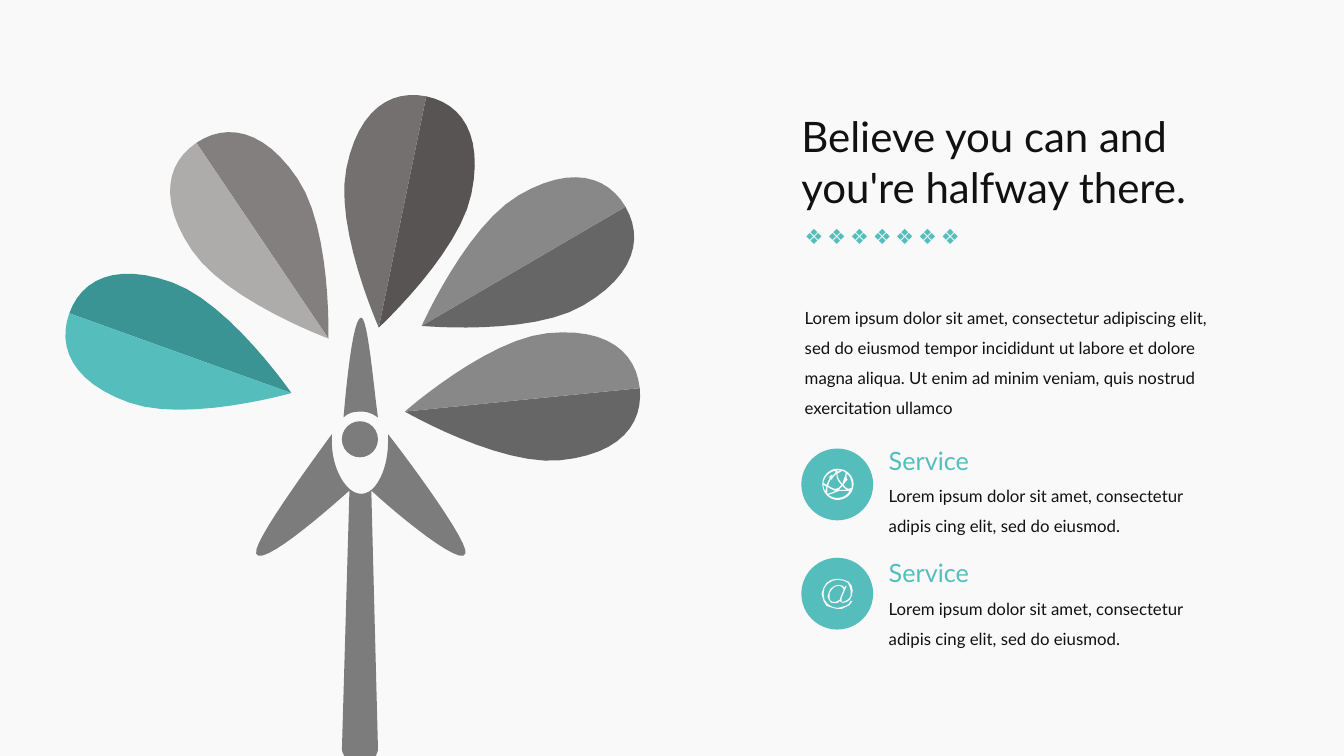
from dataclasses import dataclass
from math import cos, radians, sin
from typing import NamedTuple

from pptx import Presentation
from pptx.dml.color import RGBColor
from pptx.enum.shapes import MSO_SHAPE
from pptx.enum.text import MSO_ANCHOR, PP_ALIGN
from pptx.shapes.autoshape import Shape
from pptx.slide import Slide
from pptx.util import Inches, Pt

Point = tuple[float, float]

SLIDE_WIDTH, SLIDE_HEIGHT = Inches(13.333), Inches(7.5)
ROWS = 90  # square cells, 160 across
CURVE_STEPS = 12
ICON_SCALE = 0.12  # cells per icon unit


@dataclass(frozen=True)
class Theme:
    background: str = "F9F9F9"
    ink: str = "111111"
    accent: str = "56BDBD"
    accent_dark: str = "3A9494"
    turbine: str = "7C7C7C"
    font: str = "Lato"
    ornament_font: str = "Calibri"
    title_size: int = 30
    heading_size: int = 18
    ornament_size: int = 15
    body_size: int = 12


THEME = Theme()


class Box(NamedTuple):
    left: float
    top: float
    width: float
    height: float


class Petal(NamedTuple):
    tip: Point
    angle: float
    clockwise_color: str
    other_color: str


class Service(NamedTuple):
    circle_top: float
    heading_top: float
    icon_origin: Point
    icon: tuple[str, ...]


PETALS = (
    Petal((34.7, 46.8), 199.75, THEME.accent_dark, THEME.accent),
    Petal((39.1, 40.3), 236, "847F7F", "AEABAB"),
    Petal((45.1, 39), 281.6, "585454", "757070"),
    Petal((50.2, 38.8), 329.7, "666666", "888888"),
    Petal((48.2, 49), 354.3, "666666", "888888"),
)

# Outlines: a start point, then one point for a line or three for a curve.
PETAL_HALF = "0,0|28.1,0|28.1,4.2 25.1,7.6 17.8,7.6|10.6,7.6 0,0 0,0"
TOP_BLADE = ("45,49.7|44.5,46.2 43.8,37.8 43,37.8|42,37.8 41.2,46.2 40.9,49.7|"
             "41.4,49.2 42,49 43,49|43.7,49 44.3,49.2 45,49.7")
TOWER = ("46.2,51.7|46.2,52.6|46.2,55.8 44.8,58.8 43,58.8|41.2,58.8 39.5,55.8 39.5,52.6|"
         "39.5,51.7|36.8,55.4 30,64.7 30.5,65.9|31,67.6 38.4,61.3 41.6,58.4|40.7,89.3|"
         "40.7,89.3 41.2,91.3 43,91.3|44.5,91.3 45,89.3 45,89.3|44.2,58.4|"
         "47.3,61.3 55,67.6 55.4,65.9|55.9,64.7 49.1,55.4 46.2,51.7")
GLOBE = (
    "26,20|24,19 22,18 21,16|23,13|25,11|24,9|24,5|27,7 29,11 29,15|29,19|26,20",
    "15,29|12,29 9,28 6,26|9,25 12,24 14,23|17,22|19,22|26,22|27,22|25,26 20,29 15,29",
    "5,25|5,22|5,18|8,20 10,21 13,22|11,23 8,24 5,25",
    "4,16|1,14|2,8 7,3 13,2|13,4|10,7|9,6|7,8|7,10|6,12 5,14 4,16",
    "3,23|2,21 1,18 1,16|4,18|3,22",
    "19,16|16,19|13,20|11,20 8,18 6,17|6,15 7,12 9,10|9,11|11,8|14,5|14,10 16,13 19,16",
    "15,1|17,2|15,3",
    "20,17|21,19 23,20 24,21|19,21|17,21|17,20|20,17",
    "23,4|23,6 23,7 22,8|21,11|20,15|17,12 15,9 15,5|20,2|23,4",
    "15,0|7,0 0,7 0,15|0,24 7,31 15,31|24,31 31,24 31,15|31,7 24,0 15,0",
)
AT_SIGN = (
    "18,21|16,22|14,23|11,23|9,22|8,20|8,18|8,14|10,11|13,8|17,7|18,7|20,8|21,9|22,11|19,18",
    "29,22|27,25|24,27|20,28|16,29|11,28|6,25|3,21|2,15|3,9|6,5|11,2|16,1|22,2|26,4|28,8|29,12|"
    "29,17|27,20|24,22|21,23|20,23|20,21|20,19|25,7|24,7|23,9|21,7|17,6|13,7|9,10|7,14|6,18|"
    "7,20|8,22|10,24|16,24|18,22|19,23|21,24|25,23|28,21|30,17|31,12|30,7|27,3|22,1|16,0|10,1|"
    "5,4|2,9|0,15|2,22|5,27|11,29|16,30|20,30|24,28|28,26|30,23|31,22",
)
SERVICES = (
    Service(53.4, 53, (97.9, 55.8), GLOBE),
    Service(66.4, 66.4, (97.8, 68.9), AT_SIGN),
)


def cells(count: float) -> int:
    return round(SLIDE_HEIGHT * count / ROWS)


def trace(outline: str) -> list[Point]:
    """Turn an outline into points, with each cubic curve cut into short lines."""
    steps = [[tuple(map(float, pair.split(","))) for pair in step.split()]
             for step in outline.split("|")]
    points = list(steps[0])
    for step in steps[1:]:
        if len(step) == 1:
            points.append(step[0])
            continue
        controls = [points[-1], *step]
        for index in range(1, CURVE_STEPS + 1):
            t = index / CURVE_STEPS
            weights = ((1 - t) ** 3, 3 * t * (1 - t) ** 2, 3 * t * t * (1 - t), t ** 3)
            points.append(tuple(sum(weight * point[axis] for weight, point in zip(weights, controls))
                                for axis in (0, 1)))
    return points


def paint(shape: Shape, color: str) -> None:
    shape.shadow.inherit = False
    shape.fill.solid()
    shape.fill.fore_color.rgb = RGBColor.from_string(color)
    shape.line.fill.background()


def draw_outline(slide: Slide, contours: list[list[Point]], color: str) -> None:
    placed = [[(cells(x), cells(y)) for x, y in contour] for contour in contours]
    builder = slide.shapes.build_freeform(*placed[0][0])
    for contour in placed:
        builder.move_to(*contour[0])
        builder.add_line_segments(contour[1:], close=True)
    paint(builder.convert_to_shape(), color)


def draw_circle(slide: Slide, box: Box, color: str) -> None:
    paint(slide.shapes.add_shape(MSO_SHAPE.OVAL, *map(cells, box)), color)


def draw_petal(slide: Slide, petal: Petal) -> None:
    along_x, along_y = cos(radians(petal.angle)), sin(radians(petal.angle))
    for side, color in ((1, petal.clockwise_color), (-1, petal.other_color)):
        contour = [(petal.tip[0] + x * along_x - side * y * along_y,
                    petal.tip[1] + x * along_y + side * y * along_x) for x, y in trace(PETAL_HALF)]
        draw_outline(slide, [contour], color)


def write(shape: Shape, box: Box, text: str, size: int, color: str, font: str = THEME.font,
          wrap: bool = True, spacing: float = 1.0) -> None:
    shape.left, shape.top, shape.width, shape.height = map(cells, box)
    frame = shape.text_frame
    frame.margin_left = frame.margin_top = frame.margin_right = frame.margin_bottom = 0
    frame.word_wrap = wrap
    frame.vertical_anchor = MSO_ANCHOR.TOP
    frame.text = text
    paragraph = frame.paragraphs[0]
    paragraph.alignment = PP_ALIGN.LEFT
    paragraph.line_spacing = spacing
    paragraph.font.name = font
    paragraph.font.size = Pt(size)
    paragraph.font.color.rgb = RGBColor.from_string(color)


def add_text(slide: Slide, box: Box, text: str, size: int, color: str, **options) -> None:
    write(slide.shapes.add_textbox(0, 0, 0, 0), box, text, size, color, **options)


def draw_service(slide: Slide, service: Service) -> None:
    draw_circle(slide, Box(95.4, service.circle_top, 8.55, 8.55), THEME.accent)
    left, top = service.icon_origin
    draw_outline(slide, [[(left + x * ICON_SCALE, top + y * ICON_SCALE) for x, y in trace(outline)]
                         for outline in service.icon], THEME.background)
    add_text(slide, Box(105.8, service.heading_top, 10.7, 3.6), "Service",
             THEME.heading_size, THEME.accent, wrap=False)
    add_text(slide, Box(105.8, service.heading_top + 3.65, 38.3, 7.3),
             "Lorem ipsum dolor sit amet, consectetur adipis cing elit, sed do eiusmod.",
             THEME.body_size, THEME.ink, spacing=1.5)


presentation = Presentation()
presentation.slide_width, presentation.slide_height = SLIDE_WIDTH, SLIDE_HEIGHT
slide = presentation.slides.add_slide(presentation.slide_layouts[5])
slide.background.fill.solid()
slide.background.fill.fore_color.rgb = RGBColor.from_string(THEME.background)
write(slide.shapes.title, Box(95.4, 13.2, 47.6, 12.1), "Believe you can and you're halfway there.",
      THEME.title_size, THEME.ink)
for petal in PETALS:
    draw_petal(slide, petal)
draw_circle(slide, Box(40.7, 50.15, 4.3, 4.3), THEME.turbine)
for outline in (TOP_BLADE, TOWER):
    draw_outline(slide, [trace(outline)], THEME.turbine)
for index in range(7):
    add_text(slide, Box(95.8 + 2.7 * index, 26.6, 2.3, 3), "❖", THEME.ornament_size,
             THEME.accent, font=THEME.ornament_font, wrap=False)
add_text(slide, Box(95.8, 35.4, 50.5, 14.5),
         "Lorem ipsum dolor sit amet, consectetur adipiscing elit, sed do eiusmod tempor incididunt ut "
         "labore et dolore magna aliqua. Ut enim ad minim veniam, quis nostrud exercitation ullamco",
         THEME.body_size, THEME.ink, spacing=1.5)
for service in SERVICES:
    draw_service(slide, service)
presentation.save("out.pptx")
